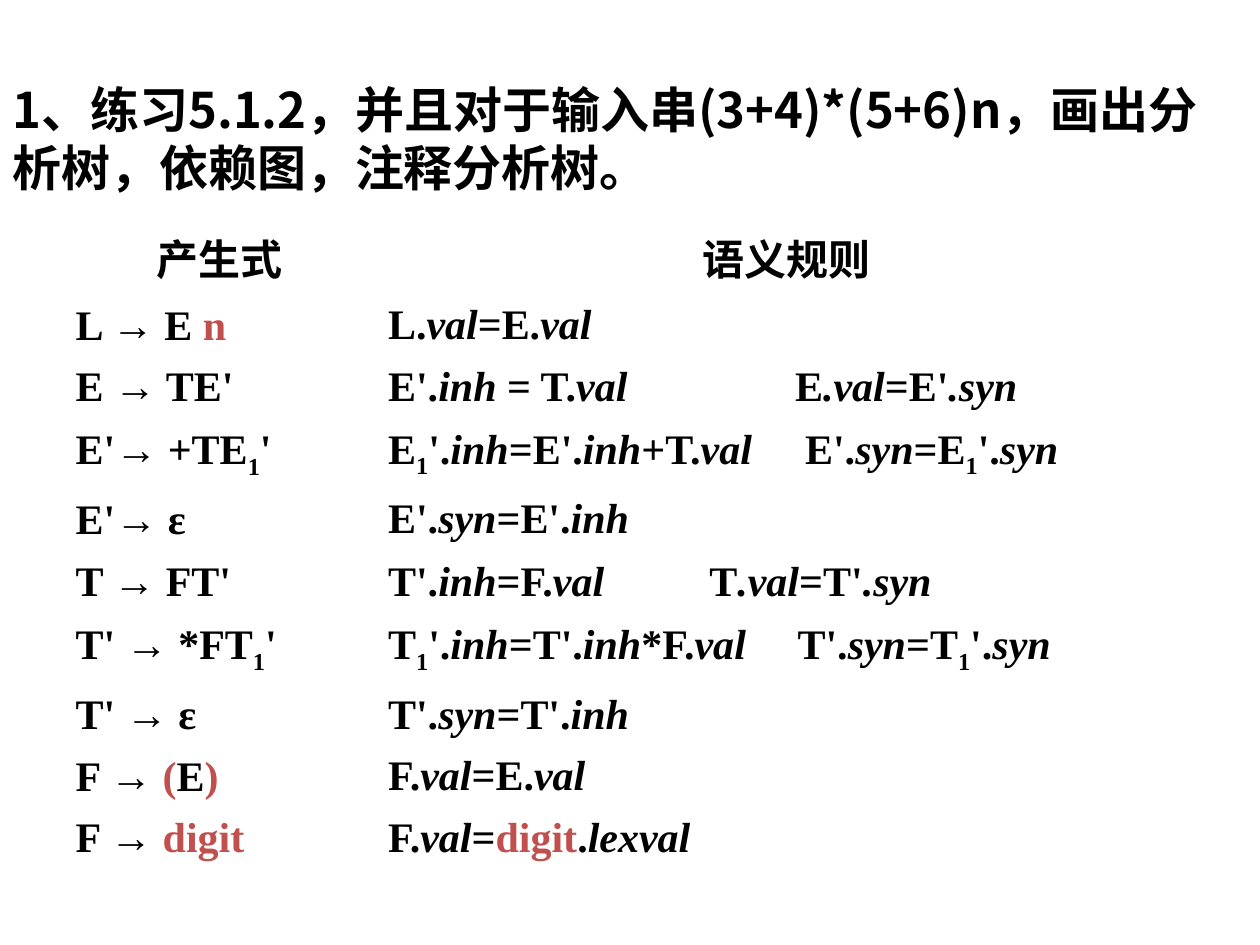
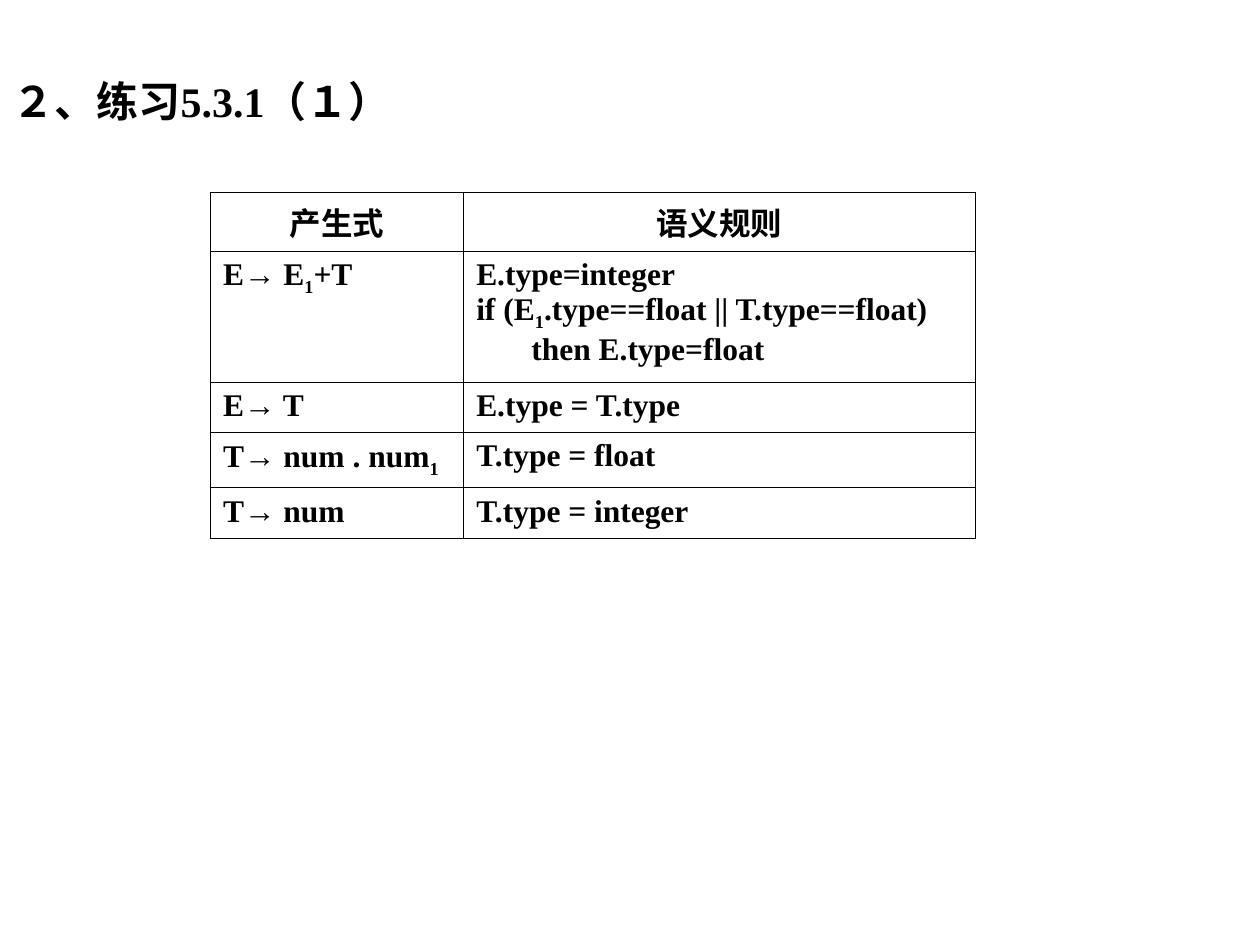
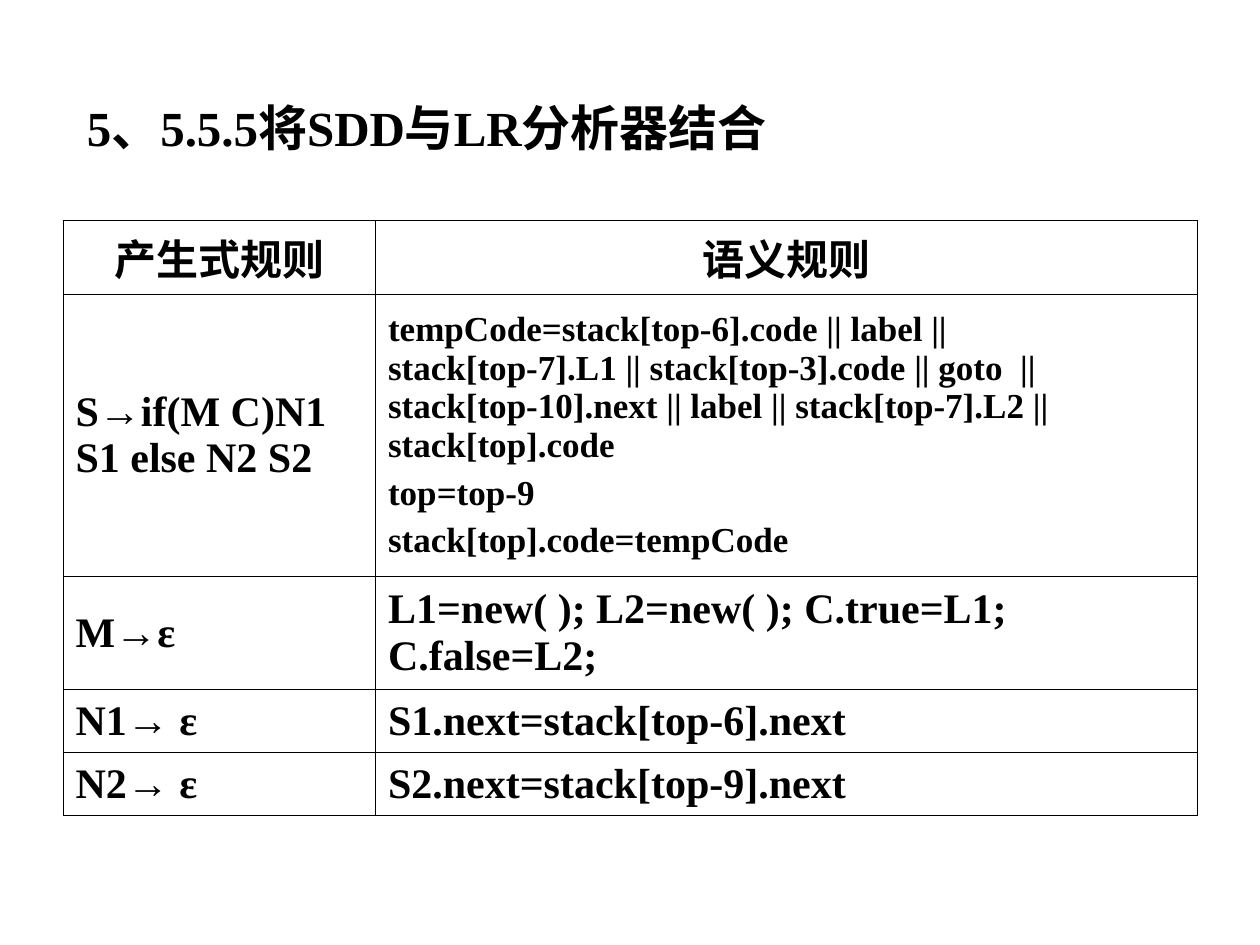
from collections.abc import Iterator
from dataclasses import dataclass
from itertools import groupby

from lxml import etree
from pptx import Presentation
from pptx.dml.color import RGBColor
from pptx.enum.text import MSO_ANCHOR, MSO_AUTO_SIZE, PP_ALIGN
from pptx.oxml.ns import qn
from pptx.slide import Slide
from pptx.table import _Cell
from pptx.text.text import TextFrame, _Run
from pptx.util import Pt

PX = 9144  # 100 px to the inch
LEFT, CENTER = PP_ALIGN.LEFT, PP_ALIGN.CENTER
TOP, MIDDLE = MSO_ANCHOR.TOP, MSO_ANCHOR.MIDDLE
NO_AUTOFIT = MSO_AUTO_SIZE.NONE

COLORS = {"text": "000000", "terminal": "C0504D", "paper": "FFFFFF"}
SERIF, CJK, ARROW_FONT = "Times New Roman", "Noto Sans CJK SC", "Arial"

# Inline marks switch a style on and off inside a text.
ITALIC, SUBSCRIPT, TERMINAL, ARROW = "_", "~", "`", "→"


@dataclass(frozen=True)
class Box:
    left: int
    top: int
    width: int
    height: int


@dataclass(frozen=True)
class Heading:
    text: str
    box: Box
    size: int = 28
    font: str = SERIF
    anchor: MSO_ANCHOR = TOP
    line_spacing: float = 1.0


@dataclass(frozen=True)
class Rule:
    height: int
    production: str
    semantics: str
    size: int | None = None
    tab: int | None = None


@dataclass(frozen=True)
class RulePage:
    heading: Heading
    left: int
    top: int
    columns: tuple[int, int]
    rules: list[Rule]
    size: int = 24
    header_font: str = CJK
    border: str = "text"
    anchor: MSO_ANCHOR = MIDDLE


PAGES = [
    RulePage(
        Heading("1、练习5.1.2，并且对于输入串(3+4)*(5+6)n，画出分析树，依赖图，注释分析树。",
                Box(0, 55, 984, 109), font=CJK, anchor=MIDDLE),
        left=50, top=175, columns=(248, 652), border="paper",
        rules=[
            Rule(59, "产生式", "语义规则"),
            Rule(49, "L → E `n`", "L._val_=E._val_"),
            Rule(49, "E → TE'", "E'._inh_ = T._val_\tE_.val_=E'_.syn_", tab=323),
            Rule(56, "E'→ +TE~1~'",
                 "E~1~'._inh_=E'._inh_+T._val_\tE'._syn_=E~1~'._syn_", tab=331),
            Rule(49, "E'→ ε", "E'._syn_=E'._inh_"),
            Rule(50, "T → FT'", "T'._inh_=F._val_\tT_.val_=T'_.syn_", tab=255),
            Rule(56, "T' → *FT~1~'",
                 "T~1~'._inh_=T'._inh_*F._val_\tT'._syn_=T~1~'._syn_", tab=325),
            Rule(49, "T' → ε", "T'._syn_=T'._inh_"),
            Rule(49, "F → `(`E`)`", "F._val_=E._val_"),
            Rule(49, "F → `digit`", "F._val_=`digit`._lexval_"),
        ],
    ),
    RulePage(
        Heading("２、练习5.3.1（１）", Box(0, 55, 1000, 63), size=24),
        left=167, top=153, columns=(201, 406), size=18,
        header_font=SERIF, anchor=TOP,
        rules=[
            Rule(40, "产生式", "语义规则"),
            Rule(104, "E→ E~1~+T",
                 "E.type=integer\n"
                 "if (E~1~.type==float || T.type==float)\n"
                 "       then E.type=float"),
            Rule(40, "E→ T", "E.type = T.type"),
            Rule(44, "T→ num . num~1~", "T.type = float"),
            Rule(40, "T→ num", "T.type = integer"),
        ],
    ),
    RulePage(
        Heading("5、5.5.5将SDD与LR分析器结合", Box(59, 68, 882, 78), line_spacing=1.1),
        left=50, top=175, columns=(248, 652),
        rules=[
            Rule(50, "产生式规则", "语义规则"),
            Rule(224, "S→if(M C)N1 S1 else N2 S2",
                 "tempCode=stack[top-6].code || label || stack[top-7].L1 || "
                 "stack[top-3].code || goto  || stack[top-10].next || label || "
                 "stack[top-7].L2 || stack[top].code\n"
                 "top=top-9\n"
                 "stack[top].code=tempCode", size=20),
            Rule(90, "M→ε", "L1=new( ); L2=new( ); C.true=L1; C.false=L2;"),
            Rule(50, "N1→ ε", "S1.next=stack[top-6].next"),
            Rule(50, "N2→ ε", "S2.next=stack[top-9].next"),
        ],
    ),
]


def px(length: int) -> int:
    return length * PX


def styled_chars(text: str) -> Iterator[tuple[frozenset[str], str]]:
    """Yield each visible character with the marks that are in force."""
    active: frozenset[str] = frozenset()
    for char in text:
        if char in (ITALIC, SUBSCRIPT, TERMINAL):
            active ^= {char}
        else:
            yield (active | {ARROW} if char == ARROW else active), char


def format_run(run: _Run, marks: frozenset[str], size: int, font: str) -> None:
    run.font.size = Pt(size)
    run.font.bold = True
    run.font.italic = ITALIC in marks
    color = COLORS["terminal" if TERMINAL in marks else "text"]
    run.font.color.rgb = RGBColor.from_string(color)
    run.font.name = ARROW_FONT if ARROW in marks else font
    properties = run.font._element
    etree.SubElement(properties, qn("a:ea"), typeface=CJK)
    if SUBSCRIPT in marks:
        properties.set("baseline", "-25000")


def write_text(frame: TextFrame, text: str, *, size: int, font: str = SERIF,
               align: PP_ALIGN = LEFT, line_spacing: float = 1.0,
               space_before: int = 0, tab: int | None = None) -> None:
    for index, line in enumerate(text.split("\n")):
        paragraph = frame.add_paragraph() if index else frame.paragraphs[0]
        paragraph.alignment = align
        paragraph.line_spacing = line_spacing
        paragraph.space_before = Pt(space_before if index else 0)
        if tab is not None:
            stops = etree.SubElement(paragraph._p.get_or_add_pPr(), qn("a:tabLst"))
            etree.SubElement(stops, qn("a:tab"), pos=str(px(tab)), algn="l")
        for marks, group in groupby(styled_chars(line), key=lambda item: item[0]):
            run = paragraph.add_run()
            run.text = "".join(char for _, char in group)
            format_run(run, marks, size, font)


def draw_heading(slide: Slide, heading: Heading) -> None:
    title, box = slide.shapes.title, heading.box
    title.left, title.top = px(box.left), px(box.top)
    title.width, title.height = px(box.width), px(box.height)
    frame = title.text_frame
    frame.word_wrap = True
    frame.auto_size = NO_AUTOFIT
    frame.vertical_anchor = heading.anchor
    write_text(frame, heading.text, size=heading.size, font=heading.font,
               line_spacing=heading.line_spacing)


def outline_cell(cell: _Cell, color: str) -> None:
    properties = cell._tc.get_or_add_tcPr()
    for side in ("lnL", "lnR", "lnT", "lnB"):
        line = etree.SubElement(properties, qn(f"a:{side}"), w=str(Pt(0.45)))
        fill = etree.SubElement(line, qn("a:solidFill"))
        etree.SubElement(fill, qn("a:srgbClr"), val=COLORS[color])
    cell.fill.background()


def draw_rules(slide: Slide, page: RulePage) -> None:
    height = sum(rule.height for rule in page.rules)
    table = slide.shapes.add_table(
        len(page.rules), len(page.columns), px(page.left), px(page.top),
        px(sum(page.columns)), px(height)).table
    table.first_row = table.horz_banding = False
    for column, width in zip(table.columns, page.columns):
        column.width = px(width)
    for index, rule in enumerate(page.rules):
        row = table.rows[index]
        row.height = px(rule.height)
        production, semantics = row.cells
        for cell in (production, semantics):
            cell.vertical_anchor = page.anchor
            outline_cell(cell, page.border)
        font, align = (SERIF, LEFT) if index else (page.header_font, CENTER)
        write_text(production.text_frame, rule.production, size=page.size,
                   font=font, align=align)
        write_text(semantics.text_frame, rule.semantics, size=rule.size or page.size,
                   font=font, align=align, tab=rule.tab,
                   space_before=5 if rule.size else 0)


def main() -> None:
    deck = Presentation()
    deck.slide_width, deck.slide_height = px(1000), px(750)
    title_only = deck.slide_layouts[5]
    for page in PAGES:
        slide = deck.slides.add_slide(title_only)
        draw_heading(slide, page.heading)
        draw_rules(slide, page)
    deck.save("out.pptx")


if __name__ == "__main__":
    main()
